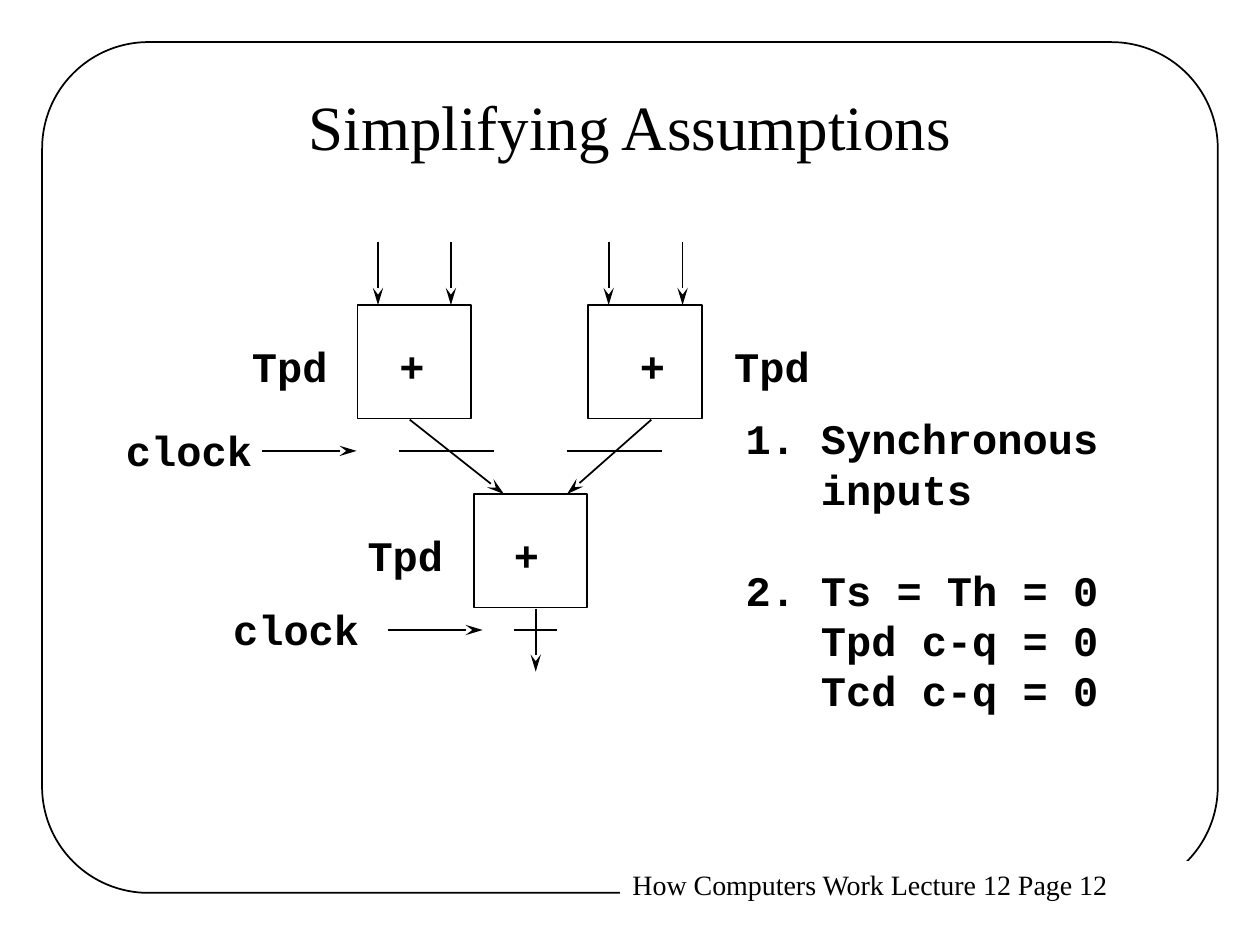
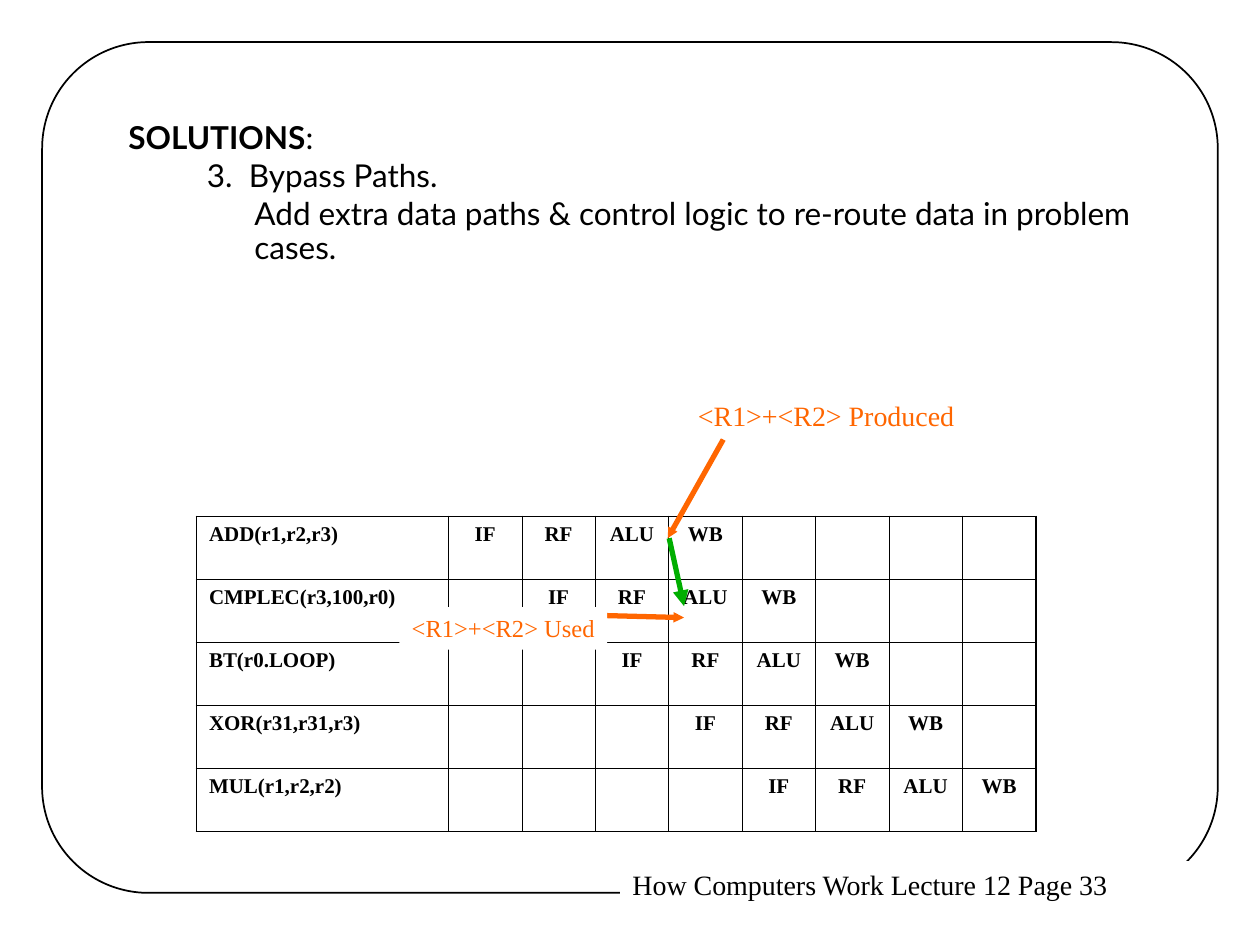
from lxml.etree import SubElement
from pptx import Presentation
from pptx.dml.color import RGBColor
from pptx.enum.shapes import MSO_CONNECTOR, MSO_SHAPE
from pptx.enum.text import MSO_ANCHOR, PP_ALIGN
from pptx.oxml.ns import qn
from pptx.util import Cm, Pt

BLACK, WHITE, ORANGE, GREEN = "000000", "FFFFFF", "FF6600", "00AE00"
SERIF, MONO, SANS = "Times New Roman", "Courier New", "Lato"
TITLE_ONLY, BLANK = 5, 6
CODE = dict(font=MONO, size=24, bold=True)
DART = dict(type="stealth", w="med", len="lg")
WEDGE = dict(type="triangle", w="med", len="med")
SMALL = dict(type="triangle", w="sm", len="sm")


def color(code):
    return RGBColor.from_string(code)


def write(frame, text, para=None, font=SERIF, size=16, ink=BLACK, bold=False,
          align=PP_ALIGN.LEFT, left=0, hang=0, before=0, lines=None):
    """Add a paragraph to frame, or a run to para; a vertical tab breaks the line."""
    if para is None:
        first = frame.paragraphs[0]
        para = frame.add_paragraph() if first.runs else first
        para.alignment = align
        para.line_spacing = lines
        if before:
            para.space_before = Pt(before)
        if left:
            props = para._p.get_or_add_pPr()
            props.set("marL", str(Cm(left)))
            props.set("indent", str(-Cm(hang)))
    for i, part in enumerate(text.split("\v")):
        if i:
            para.add_line_break()
        run = para.add_run()
        run.text = part
        run.font.name, run.font.size, run.font.bold = font, Pt(size), bold
        run.font.color.rgb = color(ink)
    return para


def box(slide, x, y, w, h, fill=None):
    """Add an empty text box and return its text frame."""
    shape = slide.shapes.add_textbox(Cm(x), Cm(y), Cm(w), Cm(h))
    if fill:
        shape.fill.solid()
        shape.fill.fore_color.rgb = color(fill)
    shape.text_frame.word_wrap = True
    shape.text_frame.margin_right = 0
    return shape.text_frame


def block(slide, kind, x, y, w, h, fill=None):
    shape = slide.shapes.add_shape(kind, Cm(x), Cm(y), Cm(w), Cm(h))
    shape.shadow.inherit = False
    if fill:
        shape.fill.solid()
        shape.fill.fore_color.rgb = color(fill)
    else:
        shape.fill.background()
    shape.line.color.rgb = color(BLACK)
    shape.line.width = Pt(1)
    return shape


def line(slide, x1, y1, x2, y2, head=None, ink=BLACK, width=1):
    link = slide.shapes.add_connector(
        MSO_CONNECTOR.STRAIGHT, Cm(x1), Cm(y1), Cm(x2), Cm(y2))
    link.line.color.rgb = color(ink)
    link.line.width = Pt(width)
    if head:
        SubElement(link.line._get_or_add_ln(), qn("a:tailEnd"), **head)
    SubElement(link._element.spPr, qn("a:effectLst"))


def start(deck, layout, page):
    """Add a slide with the shared frame and footer."""
    slide = deck.slides.add_slide(deck.slide_layouts[layout])
    frame = block(slide, MSO_SHAPE.ROUNDED_RECTANGLE, 0.85, 0.85, 23.7, 17.15)
    frame.adjustments[0] = 0.125
    foot = box(slide, 12.5, 17.36, 11.94, 0.94, fill=WHITE)
    write(foot, f"How Computers Work Lecture 12 Page {page}")
    return slide


def head(slide, text):
    title = slide.shapes.title
    title.left, title.top, title.width, title.height = (
        Cm(1.9), Cm(1.64), Cm(21.6), Cm(3.18))
    title.text_frame.vertical_anchor = MSO_ANCHOR.TOP
    write(title.text_frame, text, size=36, align=PP_ALIGN.CENTER)


def adder(slide, x, y, plus, label):
    """Draw one adder; plus and label are the left edges of its two texts."""
    block(slide, MSO_SHAPE.RECTANGLE, x, y, 2.29, 2.29, fill=WHITE)
    write(box(slide, plus, y + 0.58, 1.02, 1.27), "+", **CODE)
    write(box(slide, label, y + 0.58, 2.03, 1.27), "Tpd", **CODE)


def clock(slide, x, y, arrow, bars):
    """Draw a clock label, its arrow and the register bars at height y."""
    write(box(slide, x, y - 0.65, 3.05, 1.27), "clock", **CODE)
    line(slide, arrow, y, arrow + 1.91, y, head=DART)
    for left, right in bars:
        line(slide, left, y, right, y)


def edge(cell, side, width):
    props = cell._tc.get_or_add_tcPr()
    ln = SubElement(props, qn(f"a:ln{side}"), w=str(Pt(width)))
    fill = SubElement(ln, qn("a:solidFill"))
    SubElement(fill, qn("a:srgbClr"), val=BLACK)


def grid(slide, codes, stages):
    """Draw the pipeline table; each row starts one cycle after the last."""
    rows, cols = len(codes), len(codes) + len(stages)
    table = slide.shapes.add_table(
        rows, cols, Cm(3.96), Cm(10.41), Cm(16.94), Cm(1.27 * rows)).table
    table.first_row = table.horz_banding = False
    for c, col in enumerate(table.columns):
        col.width = Cm(1.48 if c else 5.08)
    for r, code in enumerate(codes):
        texts = [code] + [""] * r + stages + [""] * (rows - 1 - r)
        for c, text in enumerate(texts):
            cell = table.cell(r, c)
            outer = {"L": c == 0, "R": c == cols - 1,
                     "T": r == 0, "B": r == rows - 1}
            for side, thick in outer.items():
                edge(cell, side, 1.08 if thick else 0.45)
            cell.fill.background()
            if text:
                write(cell.text_frame, text, size=12, bold=True,
                      align=PP_ALIGN.CENTER if c else PP_ALIGN.LEFT)


def assume(deck):
    slide = start(deck, TITLE_ONLY, 12)
    head(slide, "Simplifying Assumptions")
    adder(slide, 7.21, 6.15, plus=7.8, label=4.83)
    adder(slide, 11.86, 6.15, plus=12.65, label=14.55)
    adder(slide, 9.55, 9.96, plus=10.11, label=7.16)
    for x in (7.62, 9.09, 12.27, 13.76):
        line(slide, x, 4.88, x, 6.15, head=DART)
    line(slide, 8.26, 8.46, 10.16, 9.96, head=DART)
    line(slide, 13.13, 8.46, 11.43, 9.96, head=DART)
    line(slide, 10.8, 12.27, 10.8, 13.54, head=DART)
    clock(slide, 2.29, 9.09, 5.28, [(8.05, 9.96), (11.43, 13.34)])
    clock(slide, 4.45, 12.7, 7.82, [(10.36, 11.23)])
    notes = box(slide, 14.78, 8.2, 8.51, 7.37)
    item = dict(CODE, left=1.52, hang=1.52)
    write(notes, "1.\tSynchronous inputs", **item)
    write(notes, "2.\tTs = Th = 0\vTpd c-q = 0\vTcd c-q = 0", before=28.8, **item)


def bypass(deck):
    slide = start(deck, BLANK, 33)
    body = box(slide, 2.34, 2.34, 20.88, 3.15)
    look = dict(font=SANS, size=18, lines=0.9)
    para = write(body, "SOLUTIONS", bold=True, left=0.64, hang=0.64, **look)
    write(body, ":", para, **look)
    write(body, "3.\tBypass Paths.", left=2.43, hang=0.85, before=2.2, **look)
    write(body, "Add extra data paths & control logic to re-route data "
          "in problem cases.", left=2.54, before=2.2, **look)
    grid(slide, ["ADD(r1,r2,r3)", "CMPLEC(r3,100,r0)", "BT(r0.LOOP)",
                 "XOR(r31,r31,r3)", "MUL(r1,r2,r2)"], ["IF", "RF", "ALU", "WB"])
    line(slide, 13.49, 10.85, 13.79, 12.22, head=WEDGE, ink=GREEN, width=3)
    flow = dict(head=SMALL, ink=ORANGE, width=3)
    line(slide, 14.58, 8.86, 13.46, 10.85, **flow)
    made = box(slide, 13.82, 7.9, 5.66, 0.94, fill=WHITE)
    write(made, "<R1>+<R2> Produced", ink=ORANGE)
    line(slide, 11.86, 12.4, 13.79, 12.45, **flow)
    used = box(slide, 8.05, 12.24, 4.19, 0.86, fill=WHITE)
    write(used, "<R1>+<R2> Used", size=14, ink=ORANGE)


def main():
    deck = Presentation()
    deck.slide_width, deck.slide_height = Cm(25.4), Cm(19.05)
    assume(deck)
    bypass(deck)
    deck.save("out.pptx")


if __name__ == "__main__":
    main()
